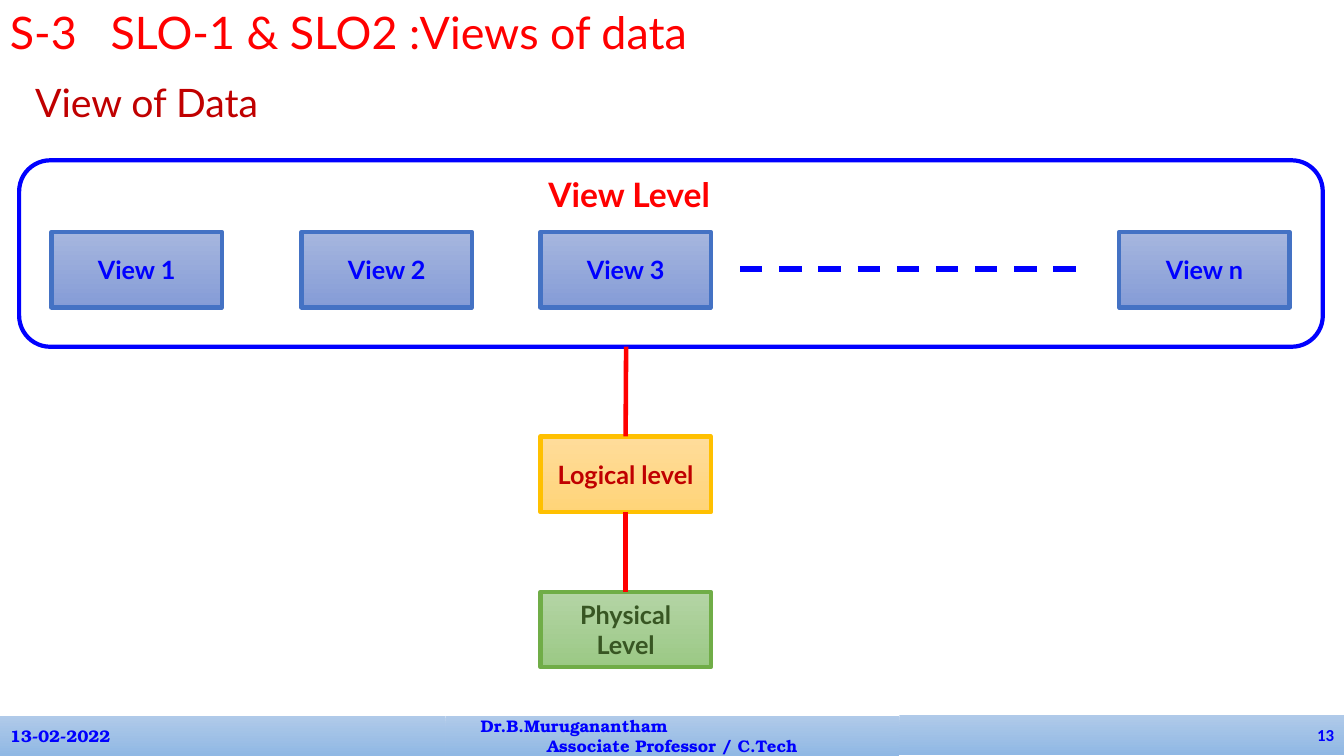
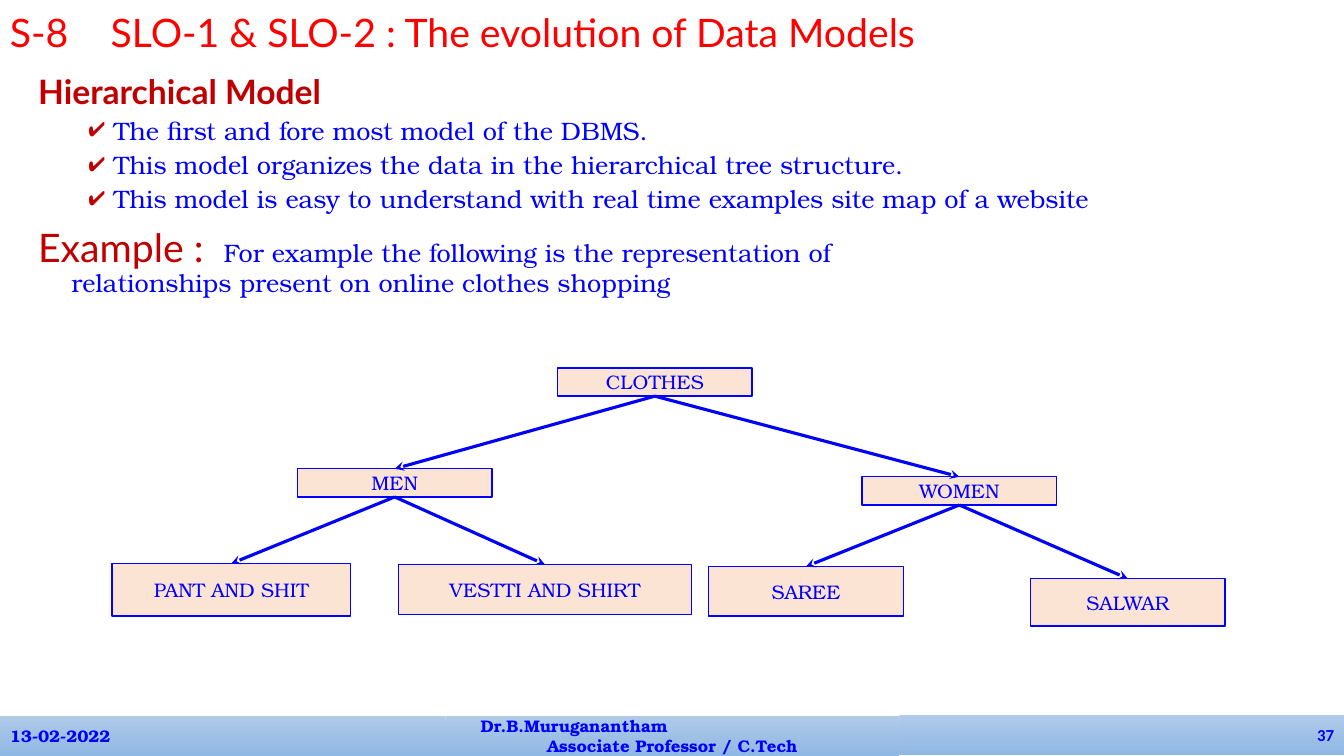
from lxml.etree import SubElement
from pptx import Presentation
from pptx.dml.color import RGBColor
from pptx.enum.dml import MSO_LINE as Dash
from pptx.enum.shapes import MSO_CONNECTOR as Link, MSO_SHAPE as Kind
from pptx.enum.text import MSO_ANCHOR as Anchor, PP_ALIGN as Align
from pptx.oxml.ns import qn
from pptx.util import Emu, Pt

SCALE = 9144
BLUE, RED, DARK, GREEN = "0000FF", "FF0000", "C00000", "385623"
SANS, SERIF = "Lato", "TeX Gyre Bonum"


def px(num):
    """Turn px into EMU."""
    return Emu(num * SCALE)


def tint(code):
    """Turn a hex string into a colour."""
    return RGBColor.from_string(code)


def face(name, size, color, bold=False):
    """Return the format values of a run."""
    return {"name": name, "size": Pt(size), "bold": bold, "color": color}


HEAD = face(SANS, 28, DARK)
TEXT = face(SERIF, 18, BLUE)
NODE = face(SERIF, 14, BLUE)
FOOT = face(SERIF, 12, BLUE, True)
VIEW = face(SANS, 18, BLUE, True)


class Deck:
    """Hold the style and the current slide."""

    bar = ("B0CAE9", "90B8E4")

    def __init__(self):
        """Start an empty deck."""
        self.show = Presentation()
        self.show.slide_width, self.show.slide_height = px(1333), px(750)
        self.slide = None

    def page(self, title, size, top, high, num):
        """Add a slide with its title and footer."""
        self.slide = self.show.slides.add_slide(self.show.slide_layouts[6])
        self.foot(0, 710, 442, [("13-02-2022", Align.LEFT, 0)], FOOT)
        name = [("Dr.B.Muruganantham", Align.LEFT, 25),
                ("Associate Professor / C.Tech", Align.CENTER, 0)]
        self.foot(442, 710, 450, name, FOOT)
        self.foot(892, 709, 441, [(num, Align.RIGHT, 0)],
                  face("Calibri", 12, BLUE, True))
        frame = self.area(0, top, 1200, high)
        self.para(frame, [(title, face(SANS, size, RED))])

    def foot(self, left, top, wide, rows, form):
        """Add one part of the footer band."""
        part = self.box((left, top, wide, 40), self.bar)
        for text, align, edge in rows:
            self.para(part.text_frame, [(text, form)], edge, align=align)

    def area(self, left, top, wide, high):
        """Add a text box and return its frame."""
        frame = self.slide.shapes.add_textbox(*map(px, (left, top, wide, high))).text_frame
        frame.word_wrap = True
        return frame

    def para(self, frame, runs, edge=0, hang=0, mark=None, **form):
        """Add a paragraph made of formatted runs."""
        para = frame.paragraphs[0]
        if para.runs:
            para = frame.add_paragraph()
        prop = para._p.get_or_add_pPr()
        prop.set("marL", str(px(edge)))
        prop.set("indent", str(px(-hang)))
        if mark:
            hue = SubElement(prop, qn("a:buClr"))
            SubElement(hue, qn("a:srgbClr"), val=DARK)
            SubElement(prop, qn("a:buChar"), char=mark)
        for key, val in ({"alignment": form.pop("align", Align.LEFT)} | form).items():
            setattr(para, key, val)
        for text, look in runs:
            if text == "\v":
                para.add_line_break()
                continue
            run = para.add_run()
            run.text = text
            for key, val in look.items():
                if key == "color":
                    run.font.color.rgb = tint(val)
                else:
                    setattr(run.font, key, val)

    def box(self, place, fill=None, edge=None, width=3, kind=Kind.RECTANGLE):
        """Add a shape with a plain, graded or empty fill."""
        shape = self.slide.shapes.add_shape(kind, *map(px, place))
        shape.shadow.inherit = False
        if isinstance(fill, tuple):
            shape.fill.gradient()
            shape.fill.gradient_angle = 270
            for stop, code in zip(shape.fill.gradient_stops, fill):
                stop.color.rgb = tint(code)
        elif fill:
            shape.fill.solid()
            shape.fill.fore_color.rgb = tint(fill)
        else:
            shape.fill.background()
        if edge:
            shape.line.color.rgb = tint(edge)
            shape.line.width = Pt(width)
        else:
            shape.line.fill.background()
        shape.text_frame.word_wrap = True
        shape.text_frame.vertical_anchor = Anchor.MIDDLE
        return shape

    def label(self, text, form, *args):
        """Add a box with centred text."""
        shape = self.box(*args)
        self.para(shape.text_frame, [(text, form)], align=Align.CENTER)
        return shape

    def line(self, color, width, ends=(0, 0, 0, 0), start=None, stop=None,
             dash=None, arrow=False):
        """Add a line, joined to boxes where given."""
        line = self.slide.shapes.add_connector(Link.STRAIGHT, *map(px, ends))
        if start:
            line.begin_connect(start, 2)
        if stop:
            line.end_connect(stop, 0)
        line.line.color.rgb = tint(color)
        line.line.width = Pt(width)
        if dash:
            line.line.dash_style = dash
        if arrow:
            SubElement(line.line._get_or_add_ln(), qn("a:tailEnd"), type="stealth")
        SubElement(line._element.spPr, qn("a:effectLst"))


def views(deck):
    """Build the slide on views of data."""
    deck.page("S-3\tSLO-1 & SLO2 :Views of data", 32, 0, 64, "13")
    deck.para(deck.area(25, 78, 1150, 476), [("View of Data", HEAD)],
              line_spacing=0.9)
    level = deck.box((19, 159, 1293, 185), None, BLUE, 3, Kind.ROUNDED_RECTANGLE)
    level.text_frame.vertical_anchor = Anchor.TOP
    deck.para(level.text_frame, [("View Level", face(SANS, 24, RED, True))], 506)
    for name, left in zip("123n", (51, 299, 536, 1110)):
        deck.label(f"View {name}", VIEW, (left, 230, 169, 75),
                   ("A6B6DE", "859CD7"), "4472C4")
    logic = deck.label("Logical level", VIEW | {"color": DARK}, (536, 433, 169, 75),
                       ("FFDC9B", "FFD478"), "FFC000", 3.25)
    store = deck.label("Physical Level", VIEW | {"color": GREEN}, (536, 587, 169, 75),
                       ("B4D4A5", "9BC985"), "70AD47")
    deck.line(BLUE, 4, (734, 267, 1076, 267), dash=Dash.DASH)
    deck.line(RED, 3.25, (621, 344, 621, 433), stop=logic)
    deck.line(RED, 3.25, start=logic, stop=store)


def tree(deck):
    """Build the slide on the hierarchical model."""
    deck.page("S-8\tSLO-1 & SLO-2 : The evolution of Data Models", 28, 3, 57, "37")
    body = deck.area(28, 70, 1150, 240)
    deck.para(body, [("Hierarchical Model", face(SANS, 24, DARK, True))], 25, 25,
              line_spacing=0.9)
    for text in (
        "The first and fore most model of the DBMS.",
        "This model organizes the data in the hierarchical tree structure.",
        "This model is easy to understand with real time examples site map of a website",
    ):
        deck.para(body, [(text, TEXT)], 75, 25, "✔", level=1,
                  line_spacing=0.9, space_before=Pt(5))
    deck.para(body, [
        ("Example :  ", HEAD),
        ("For example the following is the representation of", TEXT),
        ("\v", None),
        ("relationships present on online clothes shopping", TEXT),
    ], 33, 33, line_spacing=0.9, space_before=Pt(10))
    nodes = {}
    for name, root, place in (
        ("CLOTHES", None, (553, 365, 193, 28)),
        ("MEN", "CLOTHES", (295, 465, 193, 28)),
        ("WOMEN", "CLOTHES", (855, 473, 193, 28)),
        ("PANT AND SHIT", "MEN", (111, 559, 237, 52)),
        ("VESTTI AND SHIRT", "MEN", (395, 560, 291, 50)),
        ("SAREE", "WOMEN", (703, 562, 193, 49)),
        ("SALWAR", "WOMEN", (1022, 574, 193, 47)),
    ):
        nodes[name] = deck.label(name, NODE, place, "FBE4D4", BLUE, 1)
        if root:
            deck.line(BLUE, 2.25, start=nodes[root], stop=nodes[name], arrow=True)


def main():
    """Build and save the deck."""
    deck = Deck()
    views(deck)
    tree(deck)
    deck.show.save("out.pptx")


if __name__ == "__main__":
    main()
